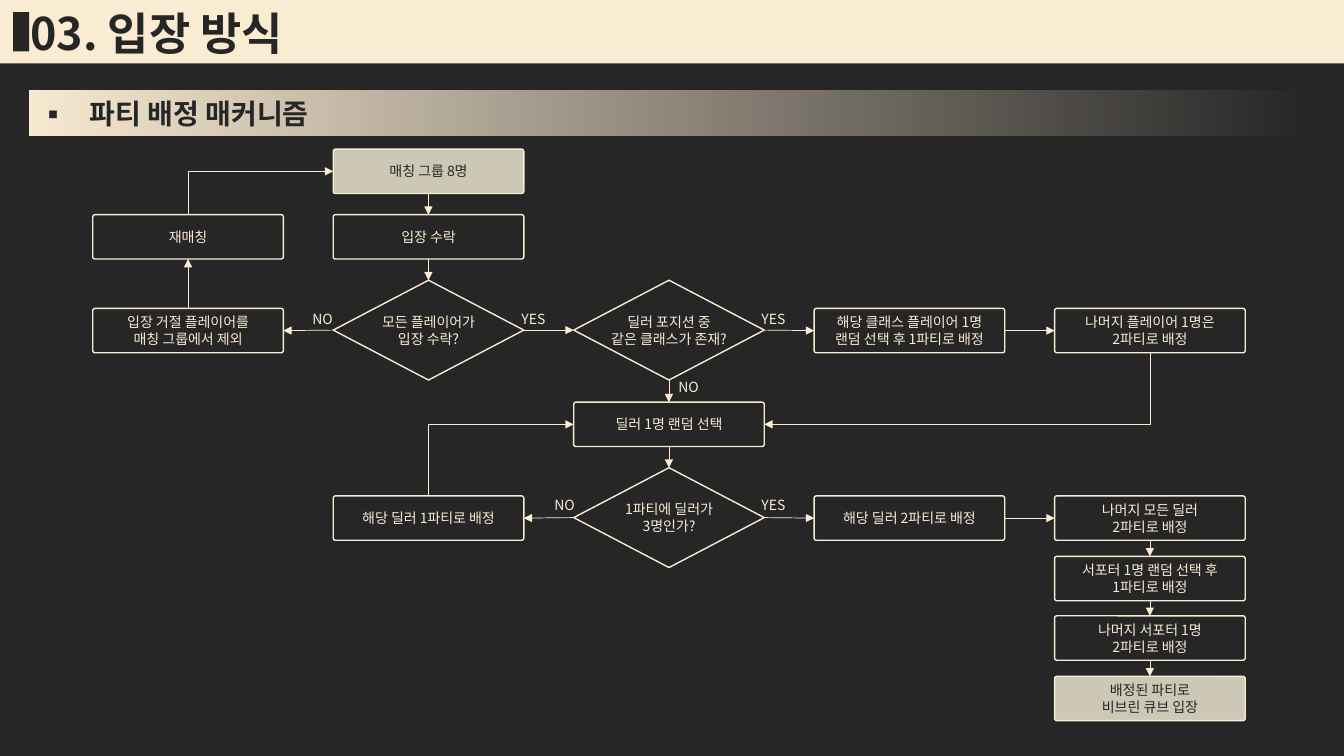
import copy

import lxml.etree
import pptx
import pptx.dml.color
import pptx.enum.shapes
import pptx.enum.text
import pptx.oxml.ns
import pptx.util

Inches = pptx.util.Inches
Pt = pptx.util.Pt
RGB = pptx.dml.color.RGBColor
KIND = pptx.enum.shapes.MSO_SHAPE
LINK = pptx.enum.shapes.MSO_CONNECTOR
ALIGN = pptx.enum.text.PP_ALIGN
qn = pptx.oxml.ns.qn

DARK = RGB(0x26, 0x26, 0x26)
CREAM = RGB(0xFA, 0xEB, 0xD3)
SAND = RGB(0xCD, 0xC7, 0xB6)
FONT = "Noto Sans CJK KR"

LEFT, PITCH = 0.92, 9.54 / 4
WIDE, HIGH, TALL = 1.89, 0.44, 0.99
TOP, LEFTS, LOW, RIGHT = range(4)  # connection sites

# name: column, top, text, filled
STEPS = {
    "group": (1, 1.48, "매칭 그룹 8명", True),
    "accept": (1, 2.13, "입장 수락", False),
    "rematch": (0, 2.13, "재매칭", False),
    "exclude": (0, 3.06, "입장 거절 플레이어를\n매칭 그룹에서 제외", False),
    "class": (3, 3.06, "해당 클래스 플레이어 1명\n랜덤 선택 후 1파티로 배정", False),
    "other": (4, 3.06, "나머지 플레이어 1명은\n2파티로 배정", False),
    "pick": (2, 3.99, "딜러 1명 랜덤 선택", False),
    "first": (1, 4.92, "해당 딜러 1파티로 배정", False),
    "second": (3, 4.92, "해당 딜러 2파티로 배정", False),
    "dealers": (4, 4.92, "나머지 모든 딜러\n2파티로 배정", False),
    "support": (4, 5.52, "서포터 1명 랜덤 선택 후\n1파티로 배정", False),
    "last": (4, 6.11, "나머지 서포터 1명\n2파티로 배정", False),
    "enter": (4, 6.71, "배정된 파티로\n비브린 큐브 입장", True),
}
# name: column, top, text
TESTS = {
    "all": (1, 2.78, "모든 플레이어가\n입장 수락?"),
    "same": (2, 2.78, "딜러 포지션 중\n같은 클래스가 존재?"),
    "three": (2, 4.64, "1파티에 딜러가\n3명인가?"),
}
LABELS = [
    (2.82, 3.03, "NO"), (5.07, 3.03, "YES"), (7.45, 3.03, "YES"),
    (6.45, 3.71, "NO"), (5.22, 4.88, "NO"), (7.45, 4.88, "YES"),
]
# direction: leaving site, entering site, pairs
ARROWS = [
    (LOW, TOP, ["group accept", "accept all", "same pick", "pick three",
                "dealers support", "support last", "last enter"]),
    (RIGHT, LEFTS, ["all same", "same class", "class other",
                    "three second", "second dealers"]),
    (LEFTS, RIGHT, ["all exclude", "three first"]),
    (TOP, LOW, ["exclude rematch"]),
]
BENDS = [("rematch", TOP, "group", LEFTS), ("first", TOP, "pick", LEFTS),
         ("other", LOW, "pick", RIGHT)]


def write(shape, text, size=10, color=CREAM, bold=False, align=ALIGN.CENTER):
    frame = shape.text_frame
    frame.word_wrap = True
    frame.auto_size = pptx.enum.text.MSO_AUTO_SIZE.NONE
    frame.vertical_anchor = pptx.enum.text.MSO_ANCHOR.MIDDLE
    para = frame.paragraphs[0]
    para.text = text
    para.alignment = align
    for run in para.runs:
        run.font.color.rgb = color
        for key, value in {"size": Pt(size), "bold": bold, "name": FONT}.items():
            setattr(run.font, key, value)
        props = run.font._element
        lxml.etree.SubElement(props, qn("a:ea"), typeface=FONT)
    for gap in para._p.findall(qn("a:br")):
        gap.append(copy.deepcopy(props))  # keeps the line height of the text
    return para


def block(slide, kind, box, fill=None, line=None):
    """Add a preset shape, hollow and without outline unless colours are given."""
    shape = slide.shapes.add_shape(kind, *map(Inches, box))
    shape.shadow.inherit = False
    if kind == KIND.ROUNDED_RECTANGLE:
        shape.adjustments[0] = 0.05
    if fill is None:
        shape.fill.background()
    else:
        shape.fill.solid()
        shape.fill.fore_color.rgb = fill
    if line is None:
        shape.line.fill.background()
    else:
        shape.line.color.rgb = line
        shape.line.width = Pt(1)
    return shape


def step(slide, col, top, text, full):
    box = (LEFT + col * PITCH, top, WIDE, HIGH)
    shape = block(slide, KIND.ROUNDED_RECTANGLE, box, SAND if full else None, CREAM)
    write(shape, text, color=DARK if full else CREAM)
    return shape


def test(slide, col, top, text):
    """Add a diamond with a text box over its middle."""
    left = LEFT + col * PITCH
    shape = block(slide, KIND.DIAMOND, (left, top, WIDE, TALL), line=CREAM)
    box = (left, top + (TALL - HIGH) / 2, WIDE, HIGH)
    write(block(slide, KIND.ROUNDED_RECTANGLE, box), text)
    return shape


def label(slide, left, top, text):
    shape = block(slide, KIND.ROUNDED_RECTANGLE, (left, top, 0.76, 0.26))
    write(shape, text, align=ALIGN.LEFT if text == "YES" else ALIGN.CENTER)


def finish(wire):
    """Colour a connector, drop its shadow and give it an arrowhead."""
    wire.line.color.rgb = CREAM
    wire.line.width = Pt(0.5)
    lxml.etree.SubElement(wire.line._get_or_add_ln(), qn("a:tailEnd"), type="triangle")
    lxml.etree.SubElement(wire._element.spPr, qn("a:effectLst"))


def arrow(slide, start, out, end, into):
    wire = slide.shapes.add_connector(LINK.STRAIGHT, 0, 0, 0, 0)
    wire.begin_connect(start, out)
    wire.end_connect(end, into)
    finish(wire)


def site(shape, side):
    across, down = {TOP: (1, 0), LEFTS: (0, 1), LOW: (1, 2), RIGHT: (2, 1)}[side]
    return (shape.left + shape.width * across // 2,
            shape.top + shape.height * down // 2)


def bend(slide, start, out, end, into):
    """Add an arrow that goes up or down first, then sideways."""
    (x1, y1), (x2, y2) = site(start, out), site(end, into)
    midx, midy = (x1 + x2) // 2, (y1 + y2) // 2
    dx, dy = (x2 - x1) // 2, (y2 - y1) // 2
    wire = slide.shapes.add_connector(
        LINK.ELBOW, midx - dy, midy + dx, midx + dy, midy - dx)
    props = wire._element.spPr
    props.find(qn("a:xfrm")).set("rot", "5400000")
    props.find(qn("a:prstGeom")).set("prst", "bentConnector2")
    finish(wire)


def fade(shape):
    """Fill with cream that turns clear towards the right."""
    shape.fill.gradient()
    shape.fill.gradient_angle = 180
    for stop, place, alpha in zip(shape.fill.gradient_stops, (0, 1), (0, 100000)):
        stop.position = place
        stop.color.rgb = CREAM
        tint = stop._gs.find(qn("a:srgbClr"))
        lxml.etree.SubElement(tint, qn("a:alpha"), val=str(alpha))


def header(slide):
    fade(block(slide, KIND.RECTANGLE, (0.29, 0.9, 12.75, 0.44)))
    block(slide, KIND.RECTANGLE, (0, 0, 13.33, 0.63), CREAM)
    title = slide.shapes.title
    title._element.getparent().append(title._element)  # above the banner
    spots = {"left": 0, "top": 0, "width": 4.37, "height": 0.64}
    for key, value in spots.items():
        setattr(title, key, Inches(value))
    write(title, "03. 입장 방식", 32, DARK, True, ALIGN.LEFT)
    title.text_frame.margin_left = Inches(0.3)
    block(slide, KIND.RECTANGLE, (0.13, 0.12, 0.16, 0.39), DARK)

    topic = slide.shapes.add_textbox(*map(Inches, (0.29, 0.9, 5.25, 0.44)))
    para = write(topic, "파티 배정 매커니즘", 20, DARK, True, ALIGN.LEFT)
    props = para._p.get_or_add_pPr()
    props.set("marL", str(Inches(0.5)))
    props.set("indent", str(Inches(-0.5)))
    lxml.etree.SubElement(props, qn("a:buFont"), typeface=FONT)
    lxml.etree.SubElement(props, qn("a:buChar"), char="▪")


def main():
    deck = pptx.Presentation()
    deck.slide_width, deck.slide_height = Inches(13.33), Inches(7.5)
    slide = deck.slides.add_slide(deck.slide_layouts[5])
    slide.background.fill.solid()
    slide.background.fill.fore_color.rgb = DARK
    header(slide)
    nodes = {name: step(slide, *row) for name, row in STEPS.items()}
    nodes.update({name: test(slide, *row) for name, row in TESTS.items()})
    for out, into, pairs in ARROWS:
        for pair in pairs:
            start, end = pair.split()
            arrow(slide, nodes[start], out, nodes[end], into)
    for start, out, end, into in BENDS:
        bend(slide, nodes[start], out, nodes[end], into)
    for row in LABELS:
        label(slide, *row)
    deck.save("out.pptx")


if __name__ == "__main__":
    main()
